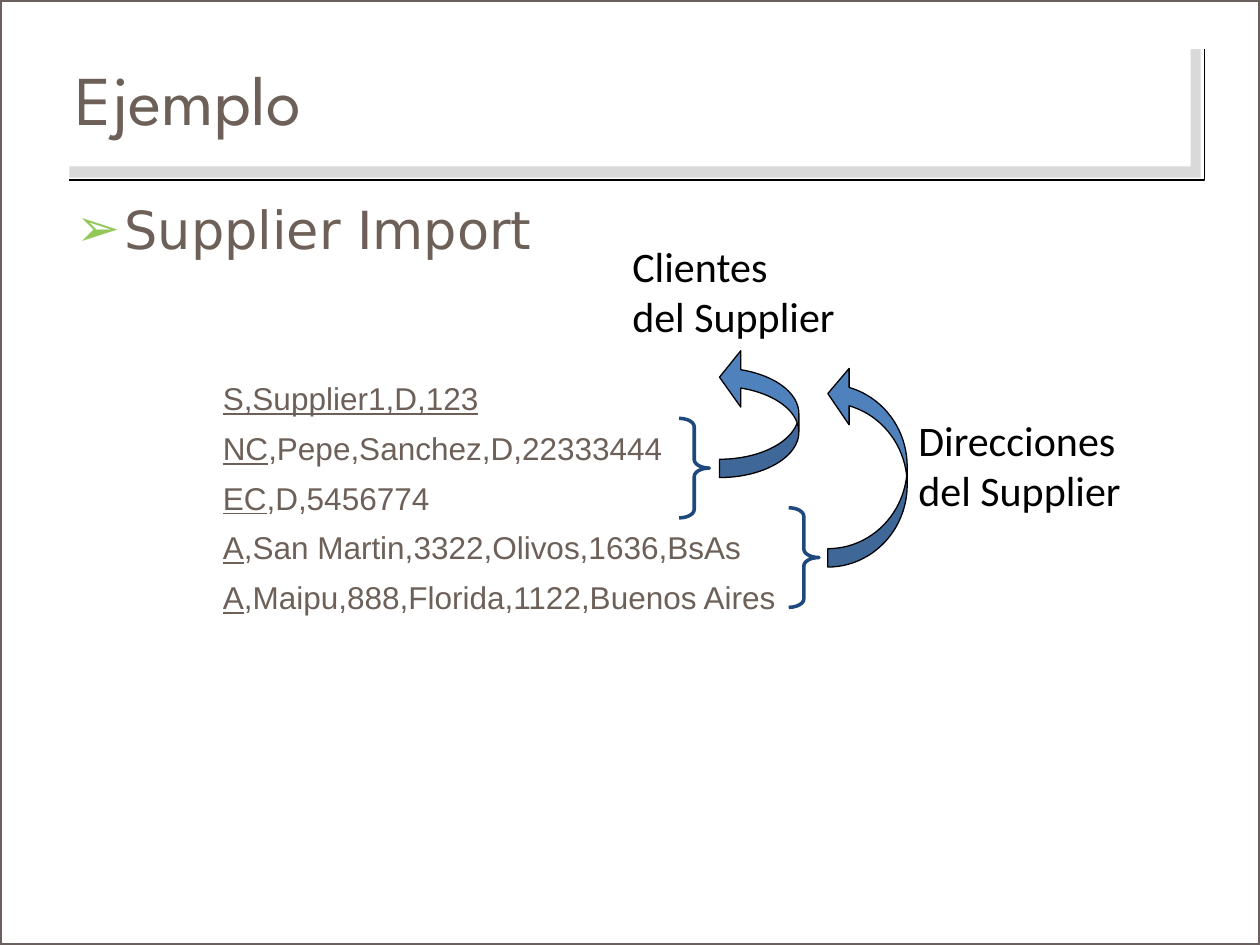
import dataclasses
import typing

import pptx
import pptx.dml.color
import pptx.enum.shapes
import pptx.enum.text
import pptx.oxml
import pptx.oxml.ns
import pptx.util

SHAPE = pptx.enum.shapes.MSO_SHAPE
ANCHOR = pptx.enum.text.MSO_ANCHOR
COLS, ROWS = 100, 75  # grid cells of a tenth of an inch


@dataclasses.dataclass(frozen=True)
class Theme:
    ink: str = "6D6058"
    frame: str = "6A605E"
    black: str = "000000"
    white: str = "FFFFFF"
    band: str = "D9D9D9"
    bullet: str = "92C858"
    brace: str = "1F497D"
    arrow: str = "4F81BD"
    title: int = 40
    heading: int = 30
    label: int = 24
    record: int = 18


class Box(typing.NamedTuple):
    col: float
    row: float
    cols: float
    rows: float


class Group(typing.NamedTuple):
    """A brace over some records, the arrow leaving it, and its label."""
    brace: Box
    arrow: Box
    label: Box
    lines: tuple[str, str]


class Record(typing.NamedTuple):
    code: str
    rest: str


T = Theme()
GROUPS = [
    Group(Box(62.6, 40.3, 2.4, 7.9), Box(65.7, 29, 6.3, 16),
          Box(71.9, 32.4, 18.2, 9.1), ("Direcciones", "del Supplier")),
    Group(Box(53.9, 33.2, 2.4, 7.9), Box(57.1, 27.7, 6.3, 10.2),
          Box(49.2, 18.6, 18.2, 9.1), ("Clientes", "del Supplier")),
]
RECORDS = [
    Record("S,Supplier1,D,123", ""),
    Record("NC", ",Pepe,Sanchez,D,22333444"),
    Record("EC", ",D,5456774"),
    Record("A", ",San Martin,3322,Olivos,1636,BsAs"),
    Record("A", ",Maipu,888,Florida,1122,Buenos Aires"),
]

prs = pptx.Presentation()
prs.slide_width, prs.slide_height = pptx.util.Inches(10), pptx.util.Inches(7.5)
slide = prs.slides.add_slide(prs.slide_layouts[1])


def x(col: float) -> int:
    return round(prs.slide_width * col / COLS)


def y(row: float) -> int:
    return round(prs.slide_height * row / ROWS)


def place(box: Box) -> tuple[int, int, int, int]:
    return x(box.col), y(box.row), x(box.cols), y(box.rows)


def rgb(value: str) -> pptx.dml.color.RGBColor:
    return pptx.dml.color.RGBColor.from_string(value)


def add_shape(kind, box: Box, fill: str = "", line: str = "", width: float = 1,
              adj: tuple[float, ...] = (), rotation: float = 0):
    sp = slide.shapes.add_shape(kind, *place(box))
    sp.shadow.inherit = False
    sp.rotation = rotation
    for i, value in enumerate(adj):
        sp.adjustments[i] = value
    if fill:
        sp.fill.solid()
        sp.fill.fore_color.rgb = rgb(fill)
    else:
        sp.fill.background()
    if line:
        sp.line.color.rgb = rgb(line)
        sp.line.width = pptx.util.Pt(width)
    else:
        sp.line.fill.background()
    return sp


def add_run(p, text: str, size: int, font: str, color: str = T.ink,
            underline: bool = False) -> None:
    r = p.add_run()
    r.text = text
    r.font.size, r.font.name = pptx.util.Pt(size), font
    r.font.color.rgb = rgb(color)
    r.font.underline = underline


def set_placeholder(sp, box: Box, anchor):
    sp.left, sp.top, sp.width, sp.height = place(box)
    # Bring the text in front of the title band
    slide.shapes._spTree.append(sp._element)
    tf = sp.text_frame
    tf.auto_size = pptx.enum.text.MSO_AUTO_SIZE.NONE
    tf.vertical_anchor = anchor
    p = tf.paragraphs[0]
    p.alignment = pptx.enum.text.PP_ALIGN.LEFT
    return p


def set_bullet(p, char: str, color: str, indent: float) -> None:
    pPr = p._p.get_or_add_pPr()
    pPr.set("marL", str(pptx.util.Inches(indent)))
    pPr.set("indent", str(-pptx.util.Inches(indent)))
    ns = pptx.oxml.ns.nsdecls("a")
    for xml in (f'<a:buClr {ns}><a:srgbClr val="{color}"/></a:buClr>',
                f'<a:buChar {ns} char="{char}"/>'):
        pPr.append(pptx.oxml.parse_xml(xml))


def add_corner_line(left: float, bottom: float, right: float, top: float) -> None:
    cx = slide.shapes.add_connector(pptx.enum.shapes.MSO_CONNECTOR.ELBOW,
                                    x(left), y(bottom), x(right), y(top))
    cx.line.color.rgb = rgb(T.black)
    cx.line.width = pptx.util.Pt(1)
    spPr = cx._element.spPr
    ns = pptx.oxml.ns.nsdecls("a")
    spPr.append(pptx.oxml.parse_xml(f"<a:effectLst {ns}/>"))
    # Turn the elbow at the far end
    guides = spPr.find(pptx.oxml.ns.qn("a:prstGeom")).get_or_add_avLst()
    guides.append(pptx.oxml.parse_xml(f'<a:gd {ns} name="adj1" fmla="val 100000"/>'))


def add_records(box: Box, records: list[Record]) -> None:
    tf = slide.shapes.add_textbox(*place(box)).text_frame
    tf.word_wrap = True
    for i, record in enumerate(records):
        p = tf.paragraphs[0] if i == 0 else tf.add_paragraph()
        p.space_before = pptx.util.Pt(6.8)
        p._p.get_or_add_pPr().set("marL", str(pptx.util.Inches(1)))
        add_run(p, record.code, T.record, "Arial", underline=True)
        if record.rest:
            add_run(p, record.rest, T.record, "Arial")


def add_group(group: Group) -> None:
    add_shape(SHAPE.RIGHT_BRACE, group.brace, line=T.brace, width=2, adj=(0.278, 0.5))
    add_shape(SHAPE.CURVED_RIGHT_ARROW, group.arrow, T.arrow, T.black, 0.75,
              (0.231, 0.71, 0.268), 180)
    tf = slide.shapes.add_textbox(*place(group.label)).text_frame
    tf.word_wrap = False
    p = tf.paragraphs[0]
    for i, line in enumerate(group.lines):
        if i:
            p.add_line_break()
        add_run(p, line, T.label, "Calibri", T.black)


# Title band and slide frame
add_shape(SHAPE.RECTANGLE, Box(5.5, 3.9, 89.8, 10.2), T.band)
add_shape(SHAPE.RECTANGLE, Box(3.9, 2.3, 90.6, 10.9), T.white)
add_corner_line(5.5, 14.3, 95.6, 3.9)
add_shape(SHAPE.RECTANGLE, Box(0, 0, COLS, ROWS), line=T.frame, width=2)

# Title and heading
p = set_placeholder(slide.shapes.title, Box(5, 3, 89.2, 9.5), ANCHOR.MIDDLE)
add_run(p, "Ejemplo", T.title, "League Spartan")
p = set_placeholder(slide.placeholders[1], Box(5.1, 15.1, 90, 22.8), ANCHOR.TOP)
p.space_before = pptx.util.Pt(8)
set_bullet(p, "➢", T.bullet, 0.38)
add_run(p, "Supplier Import", T.heading, "DejaVu Sans")

# Records with their braces, arrows and labels
add_records(Box(6.7, 29.6, 71.7, 21.8), RECORDS)
for group in GROUPS:
    add_group(group)

prs.save("out.pptx")
